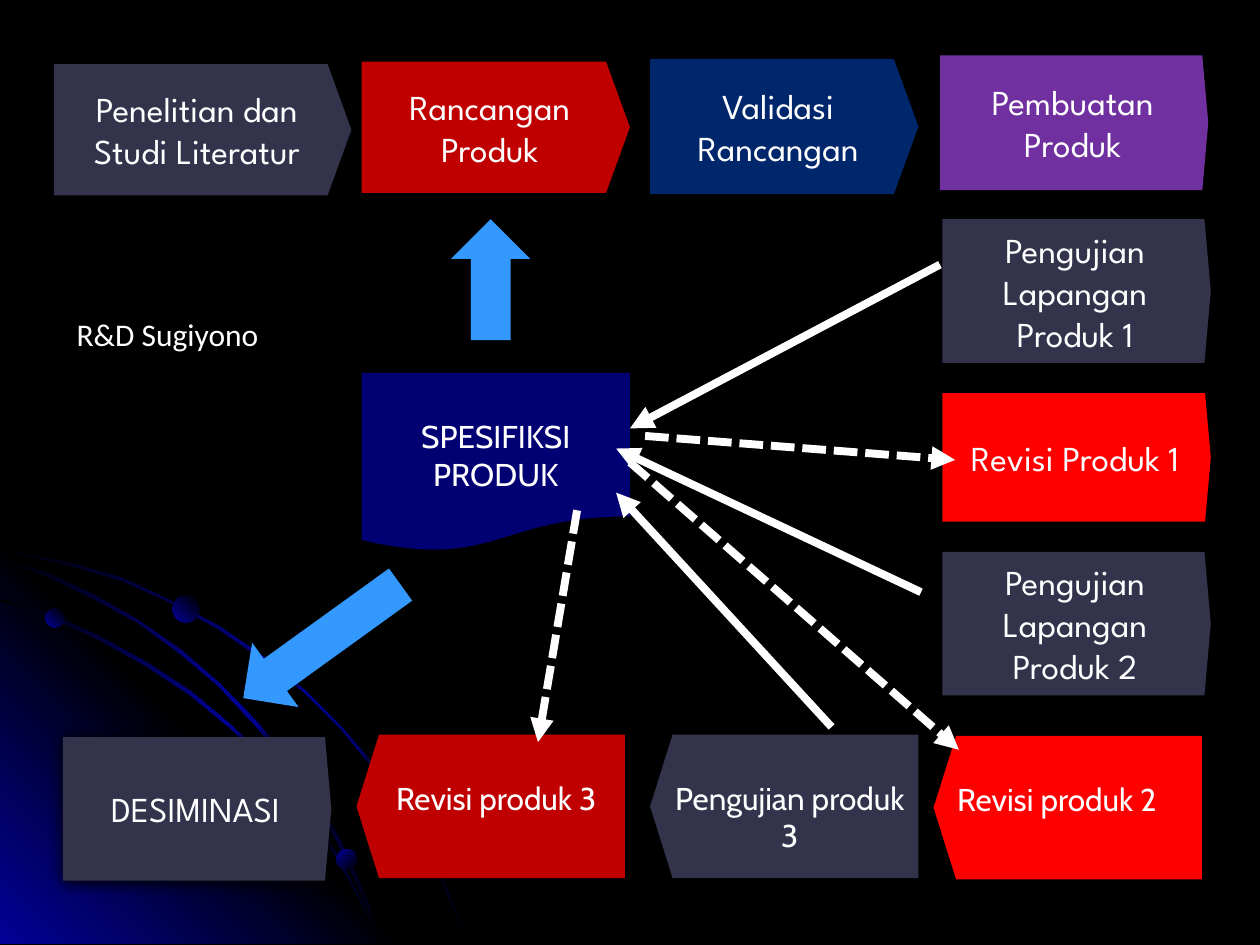
from copy import deepcopy
from lxml import etree
from pptx import Presentation
from pptx.dml.color import RGBColor
from pptx.enum import dml, shapes, text
from pptx.oxml import parse_xml
from pptx.oxml.ns import nsdecls, qn
from pptx.util import Inches, Pt

WHITE, BLACK, GLOW = "FFFFFF", "000000", "010199"
SLATE, RED, DARK_RED, SKY = "33334C", "FF0000", "C00000", "3399FF"
SPARTAN, CABIN = "League Spartan", "Cabin"
HARD_SHADOW, SOFT_SHADOW = (8.5, 1, 100), (3.5, 2.2, 32)

RIBBONS = [
    [(0.57, 4.47), (0.28, 4.41), (0, 4.35), (0, 4.38), (0.28, 4.43), (0.56, 4.49),
     (0.97, 4.61), (1.35, 4.78), (1.73, 4.99), (2.08, 5.23), (2.41, 5.49), (2.71, 5.79),
     (2.98, 6.12), (3.23, 6.49), (3.37, 6.73), (3.5, 6.98), (3.6, 7.23), (3.7, 7.49),
     (3.72, 7.49), (3.62, 7.23), (3.52, 6.98), (3.39, 6.73), (3.25, 6.48), (3, 6.11),
     (2.72, 5.78), (2.42, 5.48), (2.09, 5.21), (1.74, 4.97), (1.36, 4.77), (0.98, 4.59)],
    [(2.85, 7.14), (2.94, 7.32), (3.01, 7.49), (3.03, 7.49), (2.96, 7.3), (2.86, 7.12),
     (2.66, 6.76), (2.42, 6.4), (2.15, 6.06), (1.84, 5.76), (1.52, 5.49), (1.17, 5.26),
     (0.79, 5.05), (0.41, 4.88), (0, 4.75), (0, 4.77), (0.39, 4.9), (0.77, 5.07),
     (1.15, 5.28), (1.5, 5.51), (1.83, 5.78), (2.13, 6.08), (2.4, 6.41), (2.65, 6.77)],
    [(0, 4.42), (0, 4.44), (0.36, 4.57), (0.74, 4.75), (1.09, 4.94), (1.42, 5.18),
     (1.73, 5.44), (2.02, 5.75), (2.27, 6.05), (2.52, 6.41), (2.67, 6.67), (2.8, 6.94),
     (2.92, 7.22), (3.01, 7.49), (3.03, 7.49), (2.94, 7.2), (2.82, 6.93), (2.69, 6.65),
     (2.54, 6.39), (2.29, 6.03), (2.04, 5.73), (1.75, 5.43), (1.44, 5.16), (1.11, 4.93),
     (0.76, 4.73), (0.39, 4.55)],
]
CORNER = [(3.22, 7.49), (0, 7.49), (0, 4.27)]
DOTS = [(0.36, 4.83, 0.15, 315), (2.67, 6.74, 0.16, 45), (1.37, 4.73, 0.21, 315)]

STEPS = [
    ("Penelitian dan Studi Literatur", 0.43, 0.51, 2.36, 1.04, 0.182, SLATE),
    ("Rancangan Produk", 2.87, 0.49, 2.13, 1.04, 0.182, DARK_RED),
    ("Validasi Rancangan", 5.16, 0.47, 2.13, 1.07, 0.182, "00266B"),
    ("Pembuatan Produk", 7.46, 0.44, 2.13, 1.07, 0.044, "7030A0"),
    ("Pengujian Lapangan Produk 1", 7.48, 1.74, 2.13, 1.14, 0.044, SLATE),
    ("Revisi Produk 1", 7.48, 3.12, 2.13, 1.02, 0.044, RED),
    ("Pengujian Lapangan Produk 2", 7.48, 4.38, 2.13, 1.14, 0.044, SLATE),
    ("DESIMINASI", 0.5, 5.85, 2.13, 1.14, 0.044, SLATE),
]
RETURN_STEPS = [
    ("Revisi produk 2", 7.41, 5.84, RED, text.PP_ALIGN.LEFT),
    ("Pengujian produk 3", 5.16, 5.83, SLATE, text.PP_ALIGN.CENTER),
    ("Revisi produk 3", 2.83, 5.83, DARK_RED, text.PP_ALIGN.CENTER),
]
LINKS = [
    ((7.46, 2.1), (5, 3.4), False),
    ((5.12, 3.46), (7.58, 3.65), True),
    ((7.31, 4.7), (4.89, 3.56), False),
    ((6.6, 5.77), (4.89, 3.91), False),
    ((4.58, 4.05), (4.27, 5.89), True),
]


def rgb(color):
    return RGBColor.from_string(color)


def set_gradient(sp, colors, angle):
    sp.shadow.inherit = False
    sp.line.fill.background()
    sp.fill.gradient()
    sp.fill.gradient_angle = (360 - angle) % 360
    gs_list = sp._element.spPr.find(".//" + qn("a:gsLst"))
    while len(gs_list) < len(colors):
        gs_list.append(deepcopy(gs_list[0]))
    for i, (stop, color) in enumerate(zip(sp.fill.gradient_stops, colors)):
        stop.color.rgb = rgb(color)
        stop.position = i / (len(colors) - 1)


def add_outline(s, points, colors, angle):
    corners = [(Inches(x), Inches(y)) for x, y in points]
    builder = s.shapes.build_freeform(*corners[0])
    builder.add_line_segments(corners[1:], close=True)
    set_gradient(builder.convert_to_shape(), colors, angle)


def add_backdrop(s):
    ribbon_colors = (BLACK, GLOW, BLACK)
    add_outline(s, RIBBONS[0], ribbon_colors, 45)
    add_outline(s, CORNER, (GLOW, BLACK, GLOW), 315)
    for points in RIBBONS[1:]:
        add_outline(s, points, ribbon_colors, 45)
    for x, y, size, angle in DOTS:
        dot = s.shapes.add_shape(shapes.MSO_SHAPE.OVAL, *map(Inches, (x, y, size, size)))
        set_gradient(dot, (GLOW, BLACK), angle)


def add_block(s, kind, x, y, w, h, color, shadow):
    sp = s.shapes.add_shape(kind, *map(Inches, (x, y, w, h)))
    sp.shadow.inherit = False
    sp.fill.solid()
    sp.fill.fore_color.rgb = rgb(color)
    sp.line.fill.background()
    blur, dist, alpha = shadow
    sp._element.spPr.find(qn("a:effectLst")).append(parse_xml(
        f'<a:outerShdw {nsdecls("a")} blurRad="{Pt(blur)}" dist="{Pt(dist)}" dir="5400000" '
        f'rotWithShape="0"><a:srgbClr val="{BLACK}"><a:alpha val="{alpha * 1000}"/>'
        '</a:srgbClr></a:outerShdw>'))
    return sp


def write(sp, words, font, size, align=text.PP_ALIGN.CENTER, top=None):
    tf = sp.text_frame
    tf.word_wrap = True
    tf.vertical_anchor = text.MSO_ANCHOR.MIDDLE
    if top is not None:
        tf.vertical_anchor = text.MSO_ANCHOR.TOP
        tf.margin_top = Inches(top)
    p = tf.paragraphs[0]
    p.alignment = align
    r = p.add_run()
    r.text = words
    r.font.name = font
    r.font.size = Pt(size)
    r.font.color.rgb = rgb(WHITE)


def add_step(s, x, y, w, h, tip, color):
    sp = add_block(s, shapes.MSO_SHAPE.PENTAGON, x, y, w, h, color, HARD_SHADOW)
    sp.adjustments[0] = tip
    return sp


def add_link(s, start, end, dashed):
    cx = s.shapes.add_connector(shapes.MSO_CONNECTOR.STRAIGHT, *map(Inches, start + end))
    cx.line.color.rgb = rgb(WHITE)
    cx.line.width = Pt(4.5)
    if dashed:
        cx.line.dash_style = dml.MSO_LINE.SQUARE_DOT
    etree.SubElement(cx.line._get_or_add_ln(), qn("a:tailEnd"), type="triangle")
    etree.SubElement(cx._element.spPr, qn("a:effectLst"))
    return cx


def main():
    prs = Presentation()
    prs.slide_width, prs.slide_height = Inches(10), Inches(7.5)
    s = prs.slides.add_slide(prs.slide_layouts[6])
    s.background.fill.solid()
    s.background.fill.fore_color.rgb = rgb(BLACK)
    add_backdrop(s)

    for words, x, y, w, h, tip, color in STEPS:
        write(add_step(s, x, y, w, h, tip, color), words, SPARTAN, 20)
    for words, x, y, color, align in RETURN_STEPS:
        sp = add_step(s, x, y, 2.13, 1.14, 0.157, color)
        sp._element.spPr.xfrm.set("flipH", "1")
        write(sp, words, CABIN, 18, align, top=0.35)

    product = add_block(s, shapes.MSO_SHAPE.FLOWCHART_DOCUMENT,
                        2.87, 2.96, 2.13, 1.42, "010173", SOFT_SHADOW)
    write(product, "SPESIFIKSI PRODUK", CABIN, 18, top=0.35)
    for x, y, h, rotation in ((3.58, 1.74, 0.96, 0), (2.24, 4.32, 1.54, 234.2)):
        arrow = add_block(s, shapes.MSO_SHAPE.UP_ARROW, x, y, 0.63, h, SKY, SOFT_SHADOW)
        arrow.rotation = rotation

    for start, end, dashed in LINKS:
        add_link(s, start, end, dashed)
    add_link(s, (5, 3.67), (7.61, 5.95), True).begin_connect(product, 3)

    label = s.shapes.add_textbox(*map(Inches, (0.51, 2.45, 1.9, 0.4)))
    write(label, "R&D Sugiyono", "Calibri", 18, text.PP_ALIGN.LEFT)
    prs.save("out.pptx")


if __name__ == "__main__":
    main()
